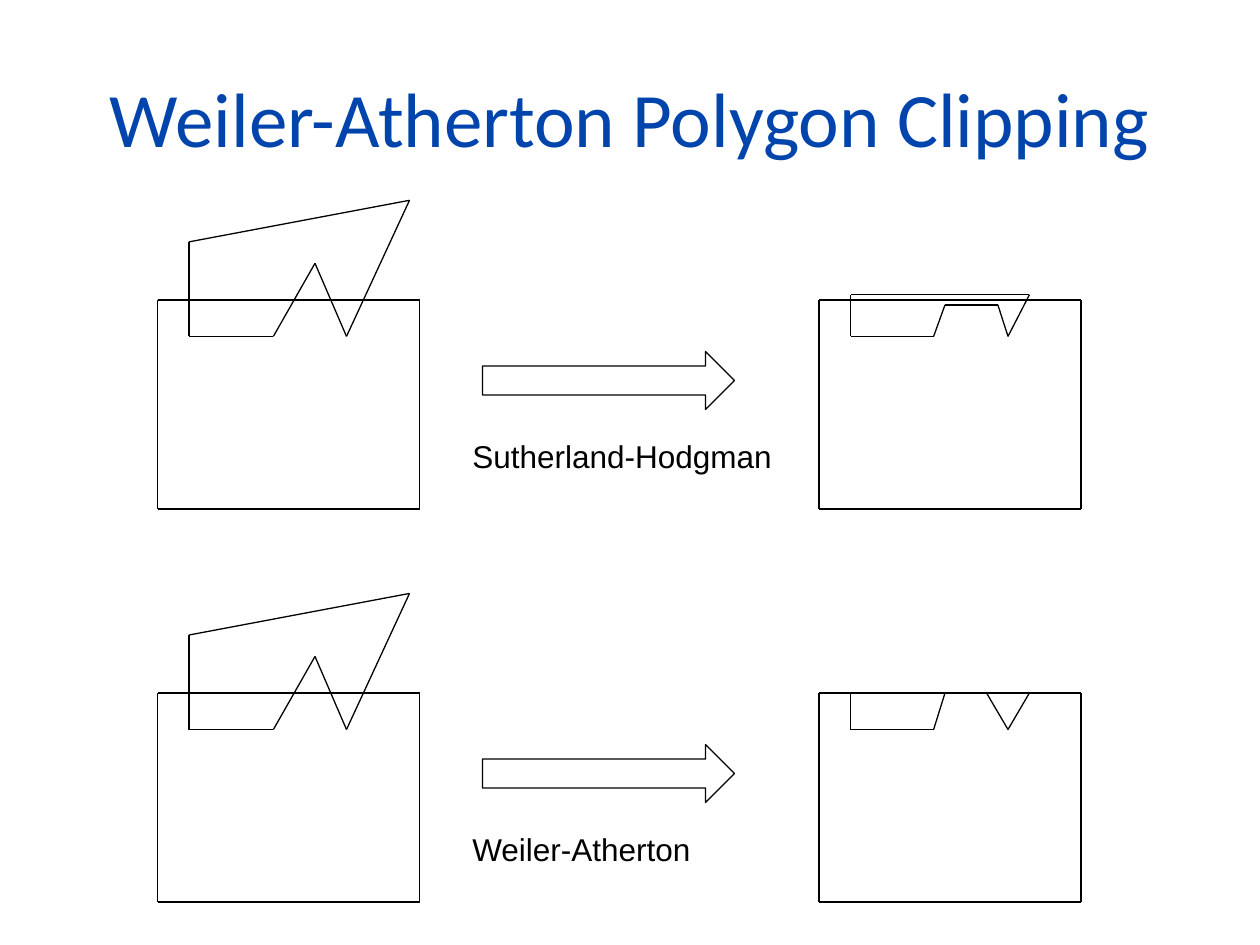
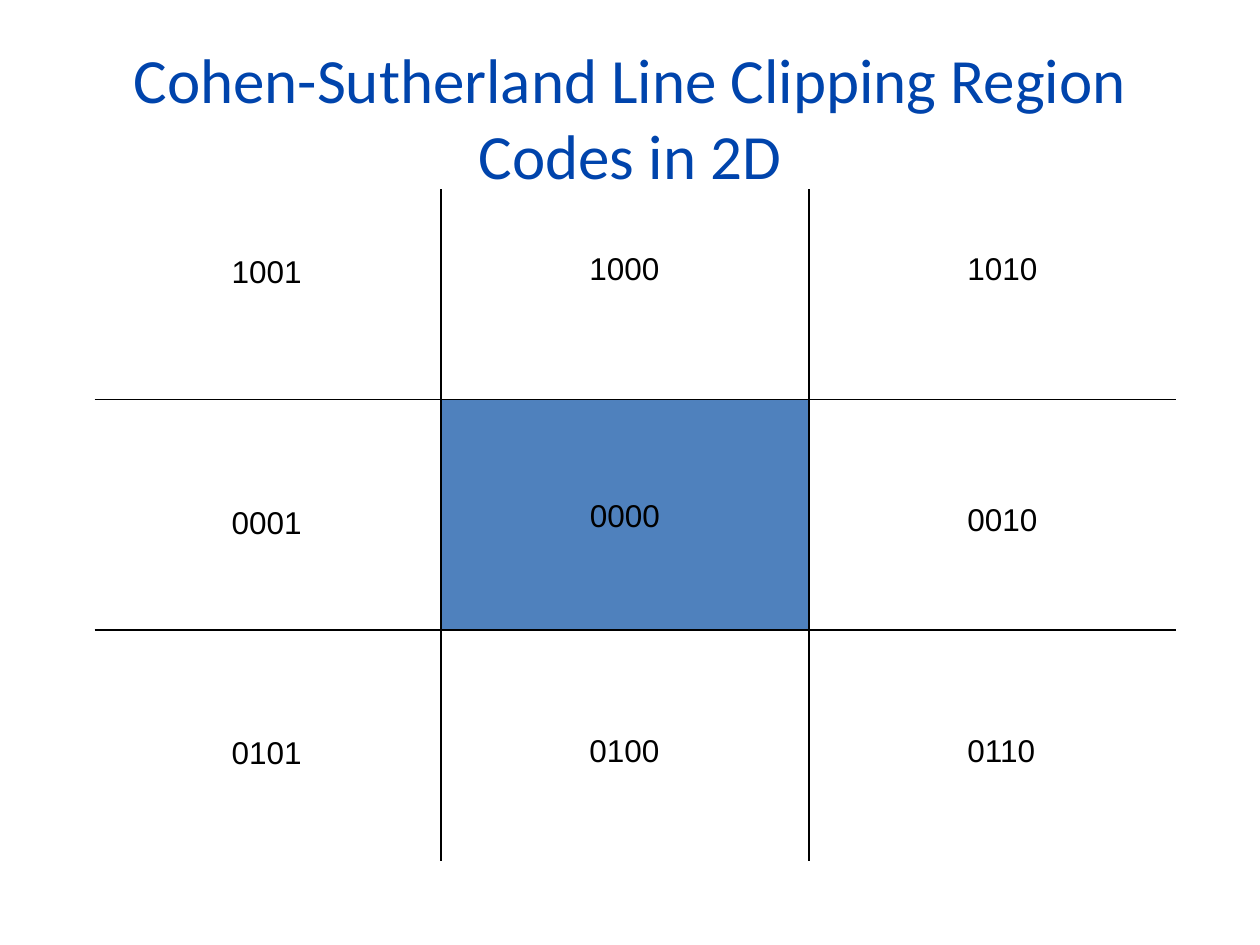
from itertools import pairwise

from lxml import etree
from pptx import Presentation
from pptx.dml.color import RGBColor
from pptx.enum.shapes import MSO_CONNECTOR, MSO_SHAPE
from pptx.enum.text import MSO_ANCHOR, MSO_AUTO_SIZE, PP_ALIGN
from pptx.oxml.ns import qn
from pptx.util import Inches, Pt

BLUE = RGBColor(0x00, 0x44, 0xAC)
FILL = RGBColor(0x4F, 0x81, 0xBD)
BLACK = RGBColor(0, 0, 0)
STRAIGHT = MSO_CONNECTOR.STRAIGHT
RECT, RIGHT_ARROW = MSO_SHAPE.RECTANGLE, MSO_SHAPE.RIGHT_ARROW
MIDDLE, CENTER, LEFT = MSO_ANCHOR.MIDDLE, PP_ALIGN.CENTER, PP_ALIGN.LEFT
NO_FIT, GROW = MSO_AUTO_SIZE.NONE, MSO_AUTO_SIZE.SHAPE_TO_FIT_TEXT
TITLE_ONLY = 5

# Polygon corners are inches from the top left corner of their clip window.
WINDOW = [(0, 0), (0, 1.66), (2.08, 1.66), (2.08, 0)]
SUBJECT = [(0.25, -0.46), (0.25, 0.29), (0.92, 0.29),
           (1.25, -0.29), (1.5, 0.29), (2, -0.79)]
JOINED = [(0.25, -0.04), (0.25, 0.29), (0.91, 0.29), (1, 0.04),
          (1.42, 0.04), (1.5, 0.29), (1.67, -0.04)]
LEFT_PART = [(0.25, 0), (0.25, 0.29), (0.91, 0.29), (1, 0)]
RIGHT_PART = [(1.33, 0), (1.5, 0.29), (1.67, 0)]
BEFORE_X, ARROW_X, AFTER_X = 1.25, 3.83, 6.5

CLIPPING_TITLE = "Weiler-Atherton Polygon Clipping"
METHODS = [  # name, label width, window top, clipped polygons
    ("Sutherland-Hodgman", 2.58, 2.38, [JOINED]),
    ("Weiler-Atherton", 1.94, 5.5, [LEFT_PART, RIGHT_PART]),
]

CODES_TITLE = "Cohen-Sutherland Line Clipping Region Codes in 2D"
CODES = [["1001", "1000", "1010"],
         ["0001", "0000", "0010"],
         ["0101", "0100", "0110"]]
GRID_X = [0.75, 3.5, 6.42, 9.33]
GRID_Y = [1.5, 3.17, 5, 6.83]
CODE_X = [1.74, 4.58, 7.58]
CODE_Y = [1.93, 3.92, 5.75]
LEFT_COLUMN_DROP = 0.02


def write(shape, text, size=18, font="Arial", color=BLACK, align=LEFT):
    p = shape.text_frame.paragraphs[0]
    p.alignment = align
    r = p.add_run()
    r.text = text
    r.font.size, r.font.name = Pt(size), font
    r.font.color.rgb = color


def add_titled_slide(prs, title, size):
    s = prs.slides.add_slide(prs.slide_layouts[TITLE_ONLY])
    sp = s.shapes.title
    sp.left, sp.top, sp.width, sp.height = map(Inches, (0.5, 0.3, 9, 1.25))
    sp.text_frame.vertical_anchor = MIDDLE
    sp.text_frame.auto_size = NO_FIT
    write(sp, title, size=size, font="Calibri", color=BLUE, align=CENTER)
    return s


def add_label(s, text, x, y, width):
    sp = s.shapes.add_textbox(*map(Inches, (x, y, width, 0.4)))
    sp.text_frame.word_wrap = False
    sp.text_frame.auto_size = GROW
    write(sp, text)


def outline(shape):
    shape.line.color.rgb = BLACK
    shape.line.width = Pt(0.75)


def add_line(s, start, end):
    line = s.shapes.add_connector(STRAIGHT, *map(Inches, (*start, *end)))
    outline(line)
    etree.SubElement(line._element.spPr, qn("a:effectLst"))


def add_polygon(s, corners, left, top):
    points = [(left + x, top + y) for x, y in corners]
    for start, end in pairwise(points + points[:1]):
        add_line(s, start, end)


def add_box(s, kind, x, y, width, height, fill=None):
    sp = s.shapes.add_shape(kind, *map(Inches, (x, y, width, height)))
    sp.shadow.inherit = False
    outline(sp)
    if fill is None:
        sp.fill.background()
    else:
        sp.fill.solid()
        sp.fill.fore_color.rgb = fill
    return sp


def build_clipping(prs):
    s = add_titled_slide(prs, CLIPPING_TITLE, 44)
    for name, width, top, clipped in METHODS:
        for left, polygons in ((BEFORE_X, [SUBJECT]), (AFTER_X, clipped)):
            for corners in [WINDOW, *polygons]:
                add_polygon(s, corners, left, top)
        add_box(s, RIGHT_ARROW, ARROW_X, top + 0.41, 2, 0.46)
        add_label(s, name, ARROW_X - 0.18, top + 1.04, width)


def build_region_codes(prs):
    s = add_titled_slide(prs, CODES_TITLE, 36)
    x0, x1, x2, x3 = GRID_X
    y0, y1, y2, y3 = GRID_Y
    window = add_box(s, RECT, x1, y1, x2 - x1, y2 - y1, fill=FILL)
    window.text_frame.vertical_anchor = MIDDLE
    write(window, CODES[1][1], align=CENTER)
    for x in (x1, x2):
        add_line(s, (x, y0), (x, y3))
    for y in (y1, y2):
        add_line(s, (x0, y), (x3, y))
    for row, codes in enumerate(CODES):
        for col, code in enumerate(codes):
            if (row, col) != (1, 1):
                drop = LEFT_COLUMN_DROP if col == 0 else 0
                add_label(s, code, CODE_X[col], CODE_Y[row] + drop, 0.76)


def main():
    prs = Presentation()
    prs.slide_width, prs.slide_height = Inches(10), Inches(7.5)
    build_clipping(prs)
    build_region_codes(prs)
    prs.save("out.pptx")


if __name__ == "__main__":
    main()
